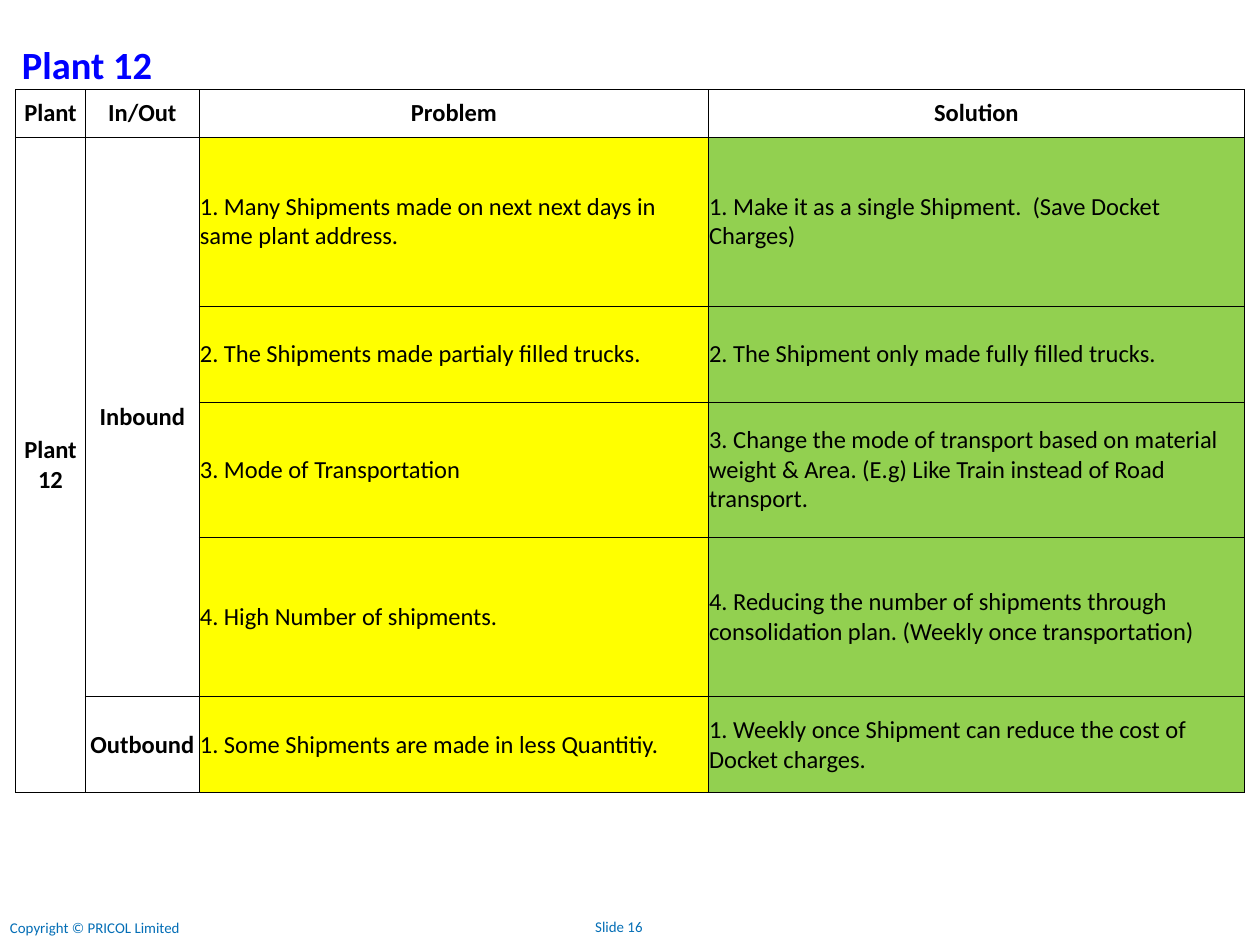
from lxml import etree
from pptx import Presentation
from pptx.dml.color import RGBColor
from pptx.enum.text import MSO_ANCHOR, PP_ALIGN
from pptx.oxml.ns import qn
from pptx.util import Pt

MIDDLE = MSO_ANCHOR.MIDDLE
LEFT, CENTER = PP_ALIGN.LEFT, PP_ALIGN.CENTER

BLACK = RGBColor(0x00, 0x00, 0x00)
TITLE_BLUE = RGBColor(0x00, 0x00, 0xFF)
FOOTER_BLUE = RGBColor(0x04, 0x6E, 0xB6)
PROBLEM_YELLOW = RGBColor(0xFF, 0xFF, 0x00)
SOLUTION_GREEN = RGBColor(0x92, 0xD0, 0x50)
FONT = "Calibri"

# text, (left, top, width, height), size, colour, bold
LABELS = [
    ("Copyright © PRICOL Limited", (4.3, 1046, 224, 28), 17, FOOTER_BLUE, False),
    ("Slide 16", (673.2, 1045.4, 93.6, 28), 17, FOOTER_BLUE, False),
    ("Plant 12", (18, 43.5, 414, 77.8), 44, TITLE_BLUE, True),
]

ROWS = [
    ("Plant", "In/Out", "Problem", "Solution"),
    ("Plant 12", "Inbound",
     "1. Many Shipments made on next next days in same plant address.",
     "1. Make it as a single Shipment.  (Save Docket Charges)"),
    ("", "", "2. The Shipments made partialy filled trucks.",
     "2. The Shipment only made fully filled trucks."),
    ("", "", "3. Mode of Transportation",
     "3. Change the mode of transport based on material weight & Area. "
     "(E.g) Like Train instead of Road transport."),
    ("", "", "4. High Number of shipments.",
     "4. Reducing the number of shipments through consolidation plan. "
     "(Weekly once transportation)"),
    ("", "Outbound", "1. Some Shipments are made in less Quantitiy.",
     "1. Weekly once Shipment can reduce the cost of Docket charges."),
]
COL_WIDTHS = [79.5, 130.3, 582, 612.2]
ROW_HEIGHTS = [54, 193, 110, 154, 182.5, 110]
MERGES = [((1, 0), (5, 0)), ((1, 1), (4, 1))]
TABLE_LEFT, TABLE_TOP = 18, 102.5
COLUMN_FILLS = {2: PROBLEM_YELLOW, 3: SOLUTION_GREEN}
LAST_ROW = len(ROWS) - 1


def add_run(p, text, size, color, bold):
    r = p.add_run()
    r.text = text
    r.font.name = FONT
    r.font.size = Pt(size)
    r.font.bold = bold
    r.font.color.rgb = color


def set_borders(cell, widths):
    """Draw black left, right, top and bottom borders of the given widths."""
    tcPr = cell._tc.get_or_add_tcPr()
    for side, width in zip("LRTB", widths):
        ln = etree.SubElement(tcPr, qn(f"a:ln{side}"), w=str(Pt(width)))
        fill = etree.SubElement(ln, qn("a:solidFill"))
        etree.SubElement(fill, qn("a:srgbClr"), val=str(BLACK))


def add_label(slide, text, box, size, color, bold):
    tf = slide.shapes.add_textbox(*map(Pt, box)).text_frame
    tf.word_wrap = True
    add_run(tf.paragraphs[0], text, size, color, bold)


def fill_cell(cell, row, col, text):
    is_entry = row > 0 and col in COLUMN_FILLS
    top = 0.5 if is_entry and row > 1 else 1
    bottom = 0.5 if is_entry and row < LAST_ROW else 1
    set_borders(cell, (1, 1, top, bottom))
    if is_entry:
        cell.fill.solid()
        cell.fill.fore_color.rgb = COLUMN_FILLS[col]
    else:
        cell.fill.background()
    cell.vertical_anchor = MIDDLE
    cell.margin_left = cell.margin_right = cell.margin_top = Pt(0.7)
    cell.margin_bottom = 0
    if text:
        p = cell.text_frame.paragraphs[0]
        p.alignment = LEFT if is_entry else CENTER
        add_run(p, text, 28, BLACK, not is_entry)


def add_plant_table(slide):
    frame = slide.shapes.add_table(
        len(ROWS), len(COL_WIDTHS), Pt(TABLE_LEFT), Pt(TABLE_TOP),
        Pt(sum(COL_WIDTHS)), Pt(sum(ROW_HEIGHTS)))
    table = frame.table
    table.first_row = table.horz_banding = False
    for column, width in zip(table.columns, COL_WIDTHS):
        column.width = Pt(width)
    for row, height in zip(table.rows, ROW_HEIGHTS):
        row.height = Pt(height)
    for i, texts in enumerate(ROWS):
        for j, text in enumerate(texts):
            fill_cell(table.cell(i, j), i, j, text)
    for first, last in MERGES:
        table.cell(*first).merge(table.cell(*last))


def main():
    prs = Presentation()
    prs.slide_width, prs.slide_height = Pt(1440), Pt(1080)
    slide = prs.slides.add_slide(prs.slide_layouts[6])
    for label in LABELS:
        add_label(slide, *label)
    add_plant_table(slide)
    prs.save("out.pptx")


if __name__ == "__main__":
    main()
